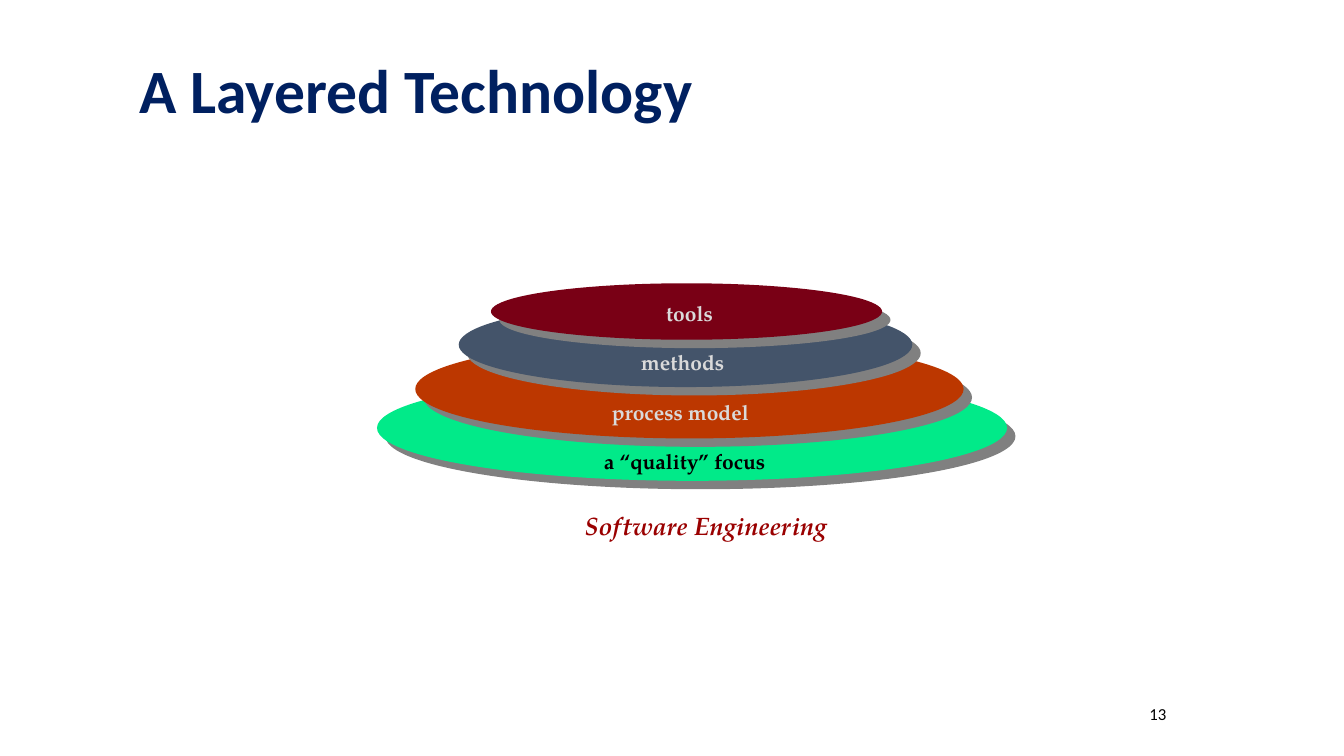
import lxml.etree
import pptx
import pptx.dml.color
import pptx.enum.shapes
import pptx.enum.text
import pptx.oxml.ns
import pptx.util

ALIGN = pptx.enum.text.PP_ALIGN
ANCHOR = pptx.enum.text.MSO_ANCHOR
SANS, SERIF = "Calibri", "TeX Gyre Pagella"
LABEL_BOTTOM, LABEL_STEP, LABEL_HEIGHT = 58.8, 6.53, 4.4

LAYERS = [
    ("a “quality” focus", "01EA89", "000000", (28.05, 49.6, 46.88, 14), (44.4, 13.73)),
    ("process model", "BC3700", "DADADA", (30.9, 44.93, 40.8, 13.07), (45, 11.4)),
    ("methods", "44546A", "DADADA", (34.13, 40, 33.75, 11.2), (47.18, 7.35)),
    ("tools", "790015", "DADADA", (36.53, 37.47, 29.1, 7.47), (49.05, 4.65)),
]


def rgb(value):
    return pptx.dml.color.RGBColor.from_string(value)


class Deck:
    shadow_color = "808080"
    shadow_distance = pptx.util.Pt(8.5)
    shadow_angle = 45 * 60000

    def __init__(self):
        self.prs = pptx.Presentation()
        self.prs.slide_width = pptx.util.Inches(13.33)
        self.prs.slide_height = pptx.util.Inches(7.5)
        self.slide = self.prs.slides.add_slide(self.prs.slide_layouts[6])

    def box(self, left, top, width, height):
        w, h = self.prs.slide_width, self.prs.slide_height
        return [int(size * share / 100) for size, share in
                ((w, left), (h, top), (w, width), (h, height))]

    def text(self, text, at, size, color, font=SERIF, bold=True, italic=False,
             wrap=False, insets=(0.07, 0.04), align=ALIGN.LEFT,
             anchor=ANCHOR.TOP, spacing=1.0):
        sp = self.slide.shapes.add_textbox(*self.box(*at))
        tf = sp.text_frame
        tf.text = text
        tf.word_wrap = wrap
        tf.vertical_anchor = anchor
        tf.margin_left = tf.margin_right = pptx.util.Inches(insets[0])
        tf.margin_top = tf.margin_bottom = pptx.util.Inches(insets[1])
        p = tf.paragraphs[0]
        p.alignment = align
        p.line_spacing = spacing
        r = p.runs[0]
        r.font.name = font
        r.font.size = pptx.util.Pt(size)
        r.font.bold = bold
        r.font.italic = italic
        r.font.color.rgb = rgb(color)

    def ellipse(self, at, color):
        sp = self.slide.shapes.add_shape(
            pptx.enum.shapes.MSO_SHAPE.OVAL, *self.box(*at))
        sp.fill.solid()
        sp.fill.fore_color.rgb = rgb(color)
        sp.line.fill.background()
        sp.shadow.inherit = False
        qn = pptx.oxml.ns.qn
        effects = sp._element.spPr.find(qn("a:effectLst"))
        shadow = lxml.etree.SubElement(
            effects, qn("a:outerShdw"), dist=str(self.shadow_distance),
            dir=str(self.shadow_angle), algn="ctr", rotWithShape="0")
        lxml.etree.SubElement(shadow, qn("a:srgbClr"), val=self.shadow_color)


def main():
    deck = Deck()
    deck.text("A Layered Technology", (10, 7.73, 61.65, 9.47), 44, "002060",
              font=SANS, wrap=True, insets=(0.05, 0.02), spacing=0.9)
    deck.text("13", (76.88, 91.07, 10.65, 6.67), 12, "000000", font=SANS,
              bold=False, wrap=True, insets=(0.1, 0.05), align=ALIGN.RIGHT,
              anchor=ANCHOR.MIDDLE)
    deck.text("Software Engineering", (42.98, 67.47, 19.2, 4.67), 18, "9A0000",
              italic=True, spacing=0.9)
    for _, fill, _, at, _ in LAYERS:
        deck.ellipse(at, fill)
    for i, (label, _, color, _, (left, width)) in enumerate(LAYERS):
        top = LABEL_BOTTOM - i * LABEL_STEP
        deck.text(label, (left, top, width, LABEL_HEIGHT), 15, color)
    deck.prs.save("out.pptx")


if __name__ == "__main__":
    main()
